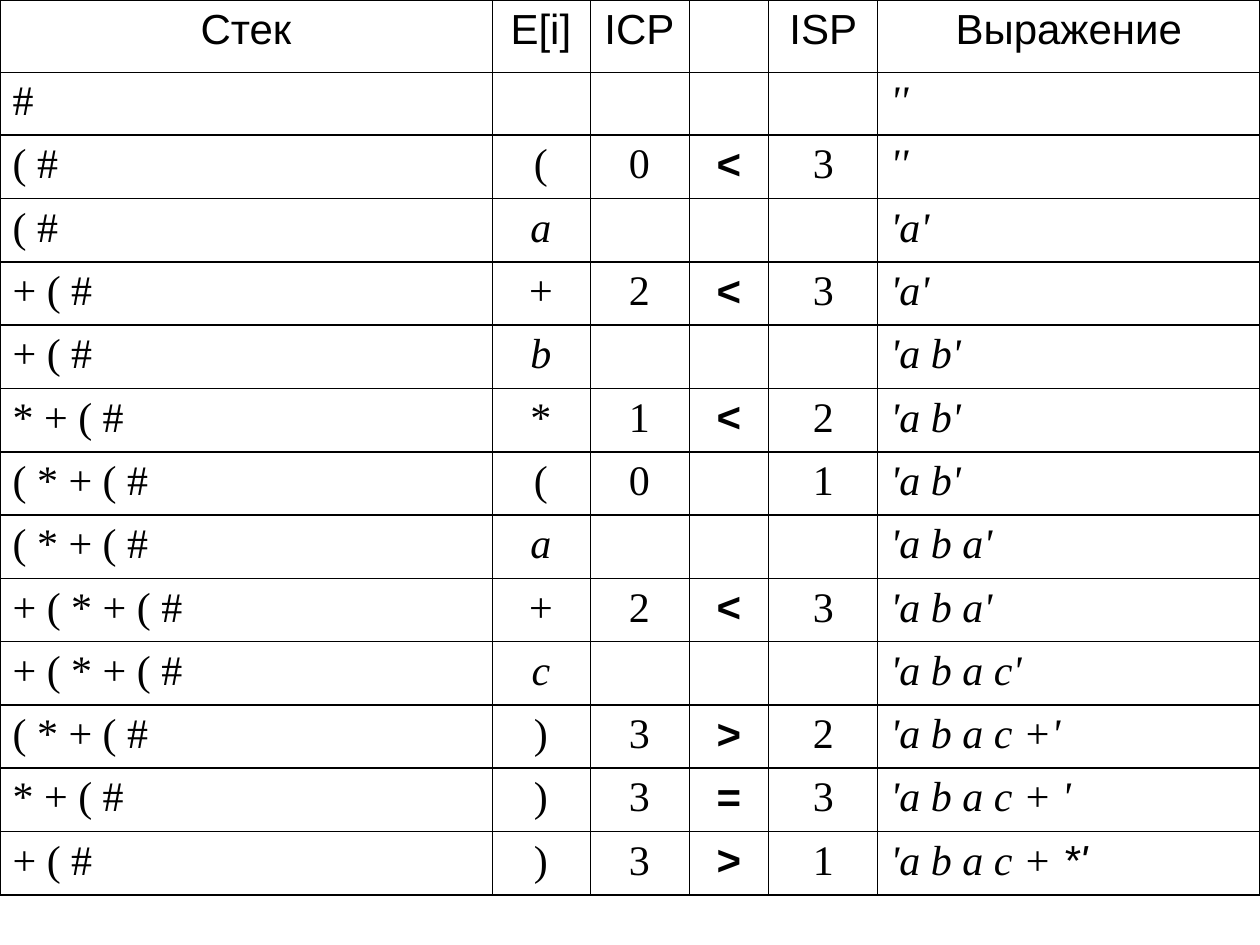
from lxml import etree
from pptx import Presentation
from pptx import util as u
from pptx.dml import color
from pptx.enum import text
from pptx.oxml import ns

PX = 914400 // 126
BLACK = "000000"
SANS, SERIF = "Arial", "Times New Roman"
THIN, THICK = 0.45, 1.08

COLUMN_WIDTHS = [492, 98, 99, 80, 109, 382]
HEADER_HEIGHT = 72
OPERAND, RELATION, EXPRESSION = 1, 3, 5
HEADER = ["Стек", "E[i]", "ICP", "", "ISP", "Выражение"]
STEPS = [
    ["#", "", "", "", "", "''"],
    ["( #", "(", "0", "<", "3", "''"],
    ["( #", "a", "", "", "", "'a'"],
    ["+ ( #", "+", "2", "<", "3", "'a'"],
    ["+ ( #", "b", "", "", "", "'a b'"],
    ["* + ( #", "*", "1", "<", "2", "'a b'"],
    ["( * + ( #", "(", "0", "", "1", "'a b'"],
    ["( * + ( #", "a", "", "", "", "'a b a'"],
    ["+ ( * + ( #", "+", "2", "<", "3", "'a b a'"],
    ["+ ( * + ( #", "c", "", "", "", "'a b a c'"],
    ["( * + ( #", ")", "3", ">", "2", "'a b a c +'"],
    ["* + ( #", ")", "3", "=", "3", "'a b a c + '"],
    ["+ ( #", ")", "3", ">", "1", ("'a b a c +", " *'")],
]


def px(length):
    return u.Emu(round(length * PX))


def rgb(value):
    return color.RGBColor.from_string(value)


def set_borders(cell, widths):
    """Draw the borders, given as side letter -> width in points."""
    properties = cell._tc.get_or_add_tcPr()
    for side, width in widths.items():
        line = etree.SubElement(properties, ns.qn(f"a:ln{side}"), w=str(u.Pt(width)))
        fill = etree.SubElement(line, ns.qn("a:solidFill"))
        etree.SubElement(fill, ns.qn("a:srgbClr"), val=BLACK)


def fill_cell(cell, content, row, column):
    cell.margin_left = cell.margin_right = u.Inches(0.1)
    cell.margin_top = cell.margin_bottom = u.Inches(0.05)
    paragraph = cell.text_frame.paragraphs[0]
    centred = row == 0 or 0 < column < EXPRESSION
    paragraph.alignment = text.PP_ALIGN.CENTER if centred else text.PP_ALIGN.LEFT
    # The second run of an expression is set in the sans font
    parts = content if isinstance(content, tuple) else (content,)
    for index, part in enumerate(parts):
        if not part:
            continue
        run = paragraph.add_run()
        run.text = part
        font = run.font
        font.size = u.Pt(24)
        font.name = SANS if row == 0 or column == RELATION or index else SERIF
        font.bold = row > 0 and column == RELATION
        font.italic = row > 0 and (
            column == EXPRESSION or (column == OPERAND and part.isalpha()))
        font.color.rgb = rgb(BLACK)


def add_trace_table(slide, left, top, width, height):
    rows = [HEADER] + STEPS
    shape = slide.shapes.add_table(
        len(rows), len(HEADER), px(left), px(top), px(width), px(height))
    table = shape.table
    table.first_row = table.horz_banding = False

    # Column widths and row heights
    for column, column_width in zip(table.columns, COLUMN_WIDTHS):
        column.width = px(column_width)
    step_height = (height - HEADER_HEIGHT) / len(STEPS)
    for index, row in enumerate(table.rows):
        row.height = px(step_height if index else HEADER_HEIGHT)

    # Cells: thin inner verticals and header rule, thick elsewhere
    for row, contents in enumerate(rows):
        for column, content in enumerate(contents):
            cell = table.cell(row, column)
            fill_cell(cell, content, row, column)
            set_borders(cell, {
                "L": THICK if column == 0 else THIN,
                "R": THICK if column == EXPRESSION else THIN,
                "T": THIN if row == 1 else THICK,
                "B": THIN if row == 0 else THICK,
            })
            cell.fill.background()


def main():
    presentation = Presentation()
    presentation.slide_width, presentation.slide_height = px(1260), px(945)
    slide = presentation.slides.add_slide(presentation.slide_layouts[6])
    add_trace_table(slide, 0, 0, 1260, 895)
    presentation.save("out.pptx")


if __name__ == "__main__":
    main()
